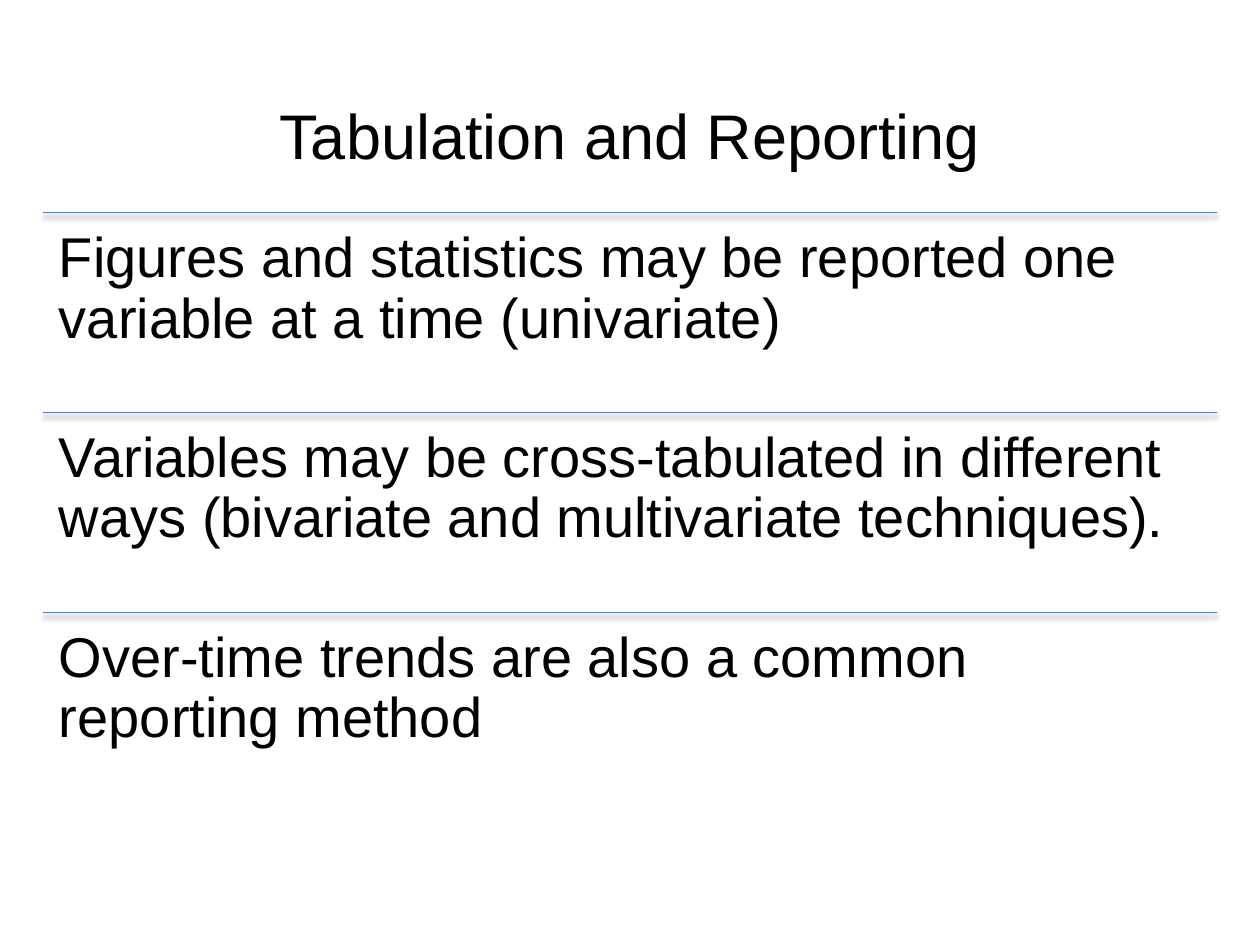
from dataclasses import dataclass

from lxml import etree
from pptx import Presentation
from pptx import util as u
from pptx.dml.color import RGBColor
from pptx.enum import shapes, text
from pptx.oxml import ns


@dataclass(frozen=True)
class Theme:
    font: str = "Arial"
    ink: str = "000000"
    rule: str = "4185F2"
    head: float = 36
    body: float = 32
    line: float = 0.75


THEME = Theme()
LEFT, WIDTH = 0.86, 23.67
TOP, PITCH = 4.29, 4.03
POINTS = (
    "Figures and statistics may be reported one variable at a time (univariate)",
    "Variables may be cross-tabulated in different ways "
    "(bivariate and multivariate techniques).",
    "Over-time trends are also a common reporting method",
)


def add_text(slide, words, top, high, *, size, pad, align=text.PP_ALIGN.LEFT,
             anchor=text.MSO_ANCHOR.TOP, space=1.0):
    box = slide.shapes.add_textbox(u.Cm(LEFT), u.Cm(top), u.Cm(WIDTH), u.Cm(high))
    frame = box.text_frame
    frame.word_wrap = True
    frame.vertical_anchor = anchor
    frame.margin_left = frame.margin_right = u.Cm(pad[0])
    frame.margin_top = frame.margin_bottom = u.Cm(pad[1])
    para = frame.paragraphs[0]
    para.text = words
    para.alignment = align
    para.line_spacing = space
    para.font.name = THEME.font
    para.font.size = u.Pt(size)
    para.font.color.rgb = RGBColor.from_string(THEME.ink)


def add_shade(line):
    """Give a line a soft shadow that falls straight down."""
    effect = etree.SubElement(line._element.spPr, ns.qn("a:effectLst"))
    shade = etree.SubElement(
        effect, ns.qn("a:outerShdw"), blurRad=str(u.Pt(3.1)),
        dist=str(u.Pt(1.8)), dir="5400000", rotWithShape="0")
    color = etree.SubElement(shade, ns.qn("a:srgbClr"), val=THEME.ink)
    etree.SubElement(color, ns.qn("a:alpha"), val="34000")


def add_rule(slide, top):
    line = slide.shapes.add_connector(
        shapes.MSO_CONNECTOR.STRAIGHT,
        u.Cm(LEFT), u.Cm(top), u.Cm(LEFT + WIDTH), u.Cm(top))
    line.line.color.rgb = RGBColor.from_string(THEME.rule)
    line.line.width = u.Pt(THEME.line)
    add_shade(line)


def main():
    deck = Presentation()
    deck.slide_width, deck.slide_height = u.Cm(25.4), u.Cm(19.05)
    slide = deck.slides.add_slide(deck.slide_layouts[6])
    add_text(slide, "Tabulation and Reporting", 1.65, 2.11, size=THEME.head,
             pad=(0.25, 0.13), align=text.PP_ALIGN.CENTER,
             anchor=text.MSO_ANCHOR.MIDDLE)
    for row, words in enumerate(POINTS):
        top = TOP + row * PITCH
        add_rule(slide, top)
        add_text(slide, words, top, PITCH, size=THEME.body,
                 pad=(0.33, 0.33), space=0.9)
    deck.save("out.pptx")


if __name__ == "__main__":
    main()
